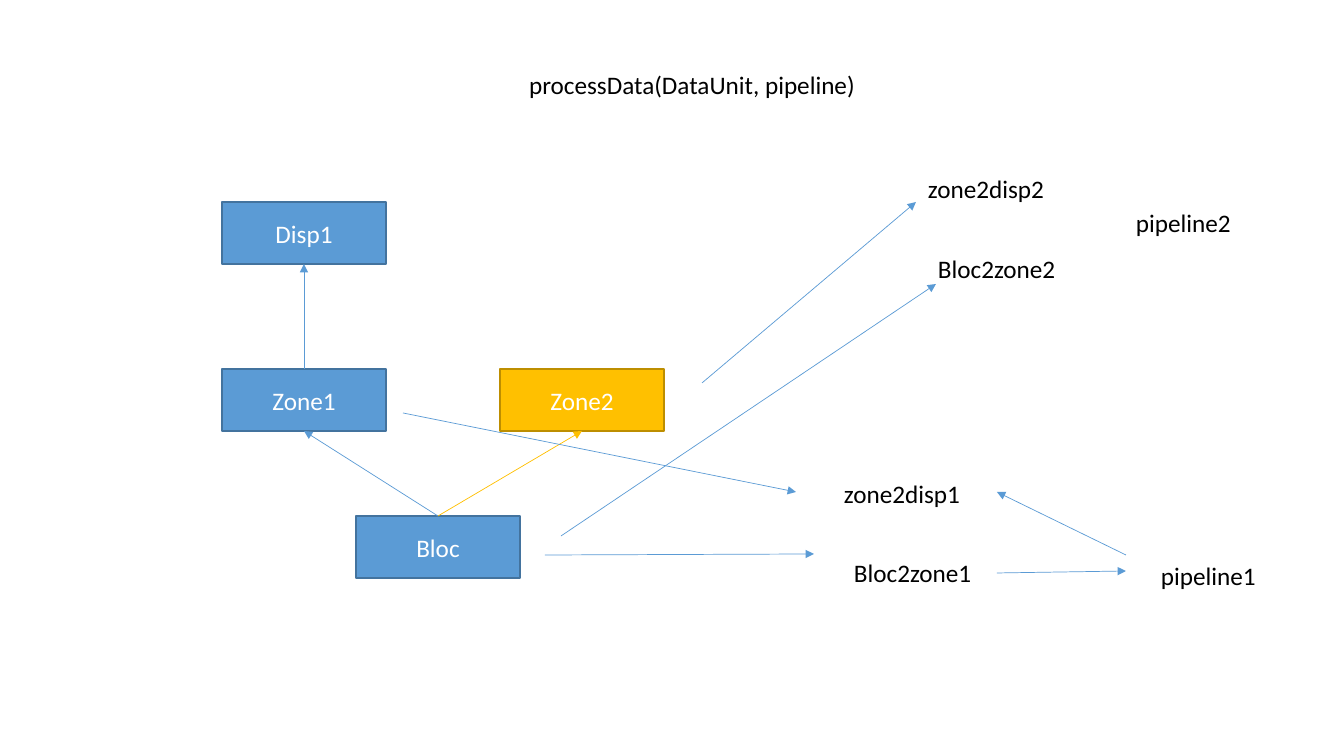
from dataclasses import dataclass

from pptx import Presentation
from pptx.dml.color import RGBColor
from pptx.enum.shapes import MSO_CONNECTOR, MSO_SHAPE
from pptx.enum.text import MSO_ANCHOR, MSO_AUTO_SIZE, PP_ALIGN
from pptx.oxml.ns import qn
from pptx.util import Pt
from lxml import etree

RECTANGLE, STRAIGHT = MSO_SHAPE.RECTANGLE, MSO_CONNECTOR.STRAIGHT
LEFT, CENTER = PP_ALIGN.LEFT, PP_ALIGN.CENTER
TOP, MIDDLE = MSO_ANCHOR.TOP, MSO_ANCHOR.MIDDLE
FIT_SHAPE, NO_FIT = MSO_AUTO_SIZE.SHAPE_TO_FIT_TEXT, MSO_AUTO_SIZE.NONE
TOP_SITE, BOTTOM_SITE = 0, 2


@dataclass(frozen=True)
class Theme:
    font: str = "Calibri"
    size: int = 18
    box_line: float = 1
    arrow_line: float = 0.5
    text: str = "000000"
    box_text: str = "FFFFFF"
    blue: str = "5B9BD5"
    blue_edge: str = "43739E"
    gold: str = "FFC000"
    gold_edge: str = "BD8E00"


THEME = Theme()

# Content, lengths in px
SLIDE_W, SLIDE_H = 1344, 756
BOX_W, BOX_H, LABEL_H = 164, 62, 40
HEADING = ("processData(DataUnit, pipeline)", 519, 64, 454)
STAGES = [  # name, left, top, fill, edge
    ("Bloc", 356, 516, THEME.blue, THEME.blue_edge),
    ("Zone1", 222, 369, THEME.blue, THEME.blue_edge),
    ("Disp1", 222, 202, THEME.blue, THEME.blue_edge),
    ("Zone2", 500, 369, THEME.gold, THEME.gold_edge),
]
STAGE_LINKS = [  # from the top of one stage to the bottom of the next
    ("Bloc", "Zone1", THEME.blue),
    ("Zone1", "Disp1", THEME.blue),
    ("Bloc", "Zone2", THEME.gold),
]
LABELS = [  # text, left, top, width
    ("Bloc2zone1", 844, 552, 139),
    ("pipeline1", 1151, 555, 117),
    ("zone2disp1", 834, 473, 138),
    ("pipeline2", 1126, 202, 117),
    ("Bloc2zone2", 928, 248, 139),
    ("zone2disp2", 918, 168, 138),
]
ARROWS = [  # start x, start y, end x, end y
    (545, 555, 814, 554),
    (997, 573, 1126, 571),
    (403, 413, 796, 492),
    (1126, 555, 997, 492),
    (702, 383, 916, 202),
    (561, 536, 936, 284),
]

prs = Presentation()
prs.slide_width, prs.slide_height = 12192000, 6858000
SCALE = prs.slide_width / SLIDE_W


def px(*lengths):
    return [round(length * SCALE) for length in lengths]


def write(shape, text, color=THEME.text, align=LEFT, anchor=TOP, wrap=True, fit=FIT_SHAPE):
    frame = shape.text_frame
    frame.text = text
    frame.word_wrap, frame.auto_size, frame.vertical_anchor = wrap, fit, anchor
    paragraph = frame.paragraphs[0]
    paragraph.alignment = align
    paragraph.line_spacing = 1.0
    font = paragraph.runs[0].font
    font.name, font.size = THEME.font, Pt(THEME.size)
    font.color.rgb = RGBColor.from_string(color)


def add_arrow(slide, ends, color):
    arrow = slide.shapes.add_connector(STRAIGHT, *px(*ends))
    arrow.line.color.rgb = RGBColor.from_string(color)
    arrow.line.width = Pt(THEME.arrow_line)
    properties = arrow.line._get_or_add_ln()
    etree.SubElement(properties, qn("a:tailEnd"), type="triangle")
    etree.SubElement(properties.getparent(), qn("a:effectLst"))
    return arrow


def add_stage(slide, name, left, top, fill, edge):
    stage = slide.shapes.add_shape(RECTANGLE, *px(left, top, BOX_W, BOX_H))
    stage.shadow.inherit = False
    stage.fill.solid()
    stage.fill.fore_color.rgb = RGBColor.from_string(fill)
    stage.line.color.rgb = RGBColor.from_string(edge)
    stage.line.width = Pt(THEME.box_line)
    write(stage, name, color=THEME.box_text, align=CENTER, anchor=MIDDLE, fit=NO_FIT)
    return stage


def main():
    slide = prs.slides.add_slide(prs.slide_layouts.get_by_name("Title Only"))

    # Heading
    text, left, top, width = HEADING
    heading = slide.shapes.title
    heading.left, heading.top, heading.width, heading.height = px(left, top, width, LABEL_H)
    write(heading, text)

    # Stages and the links between them
    stages = {stage[0]: add_stage(slide, *stage) for stage in STAGES}
    for source, target, color in STAGE_LINKS:
        link = add_arrow(slide, (0, 0, 0, 0), color)
        link.begin_connect(stages[source], TOP_SITE)
        link.end_connect(stages[target], BOTTOM_SITE)

    # Pipeline labels
    for text, left, top, width in LABELS:
        label = slide.shapes.add_textbox(*px(left, top, width, LABEL_H))
        write(label, text, wrap=False)

    # Arrows to and between the labels
    for ends in ARROWS:
        add_arrow(slide, ends, THEME.blue)

    prs.save("out.pptx")


if __name__ == "__main__":
    main()
